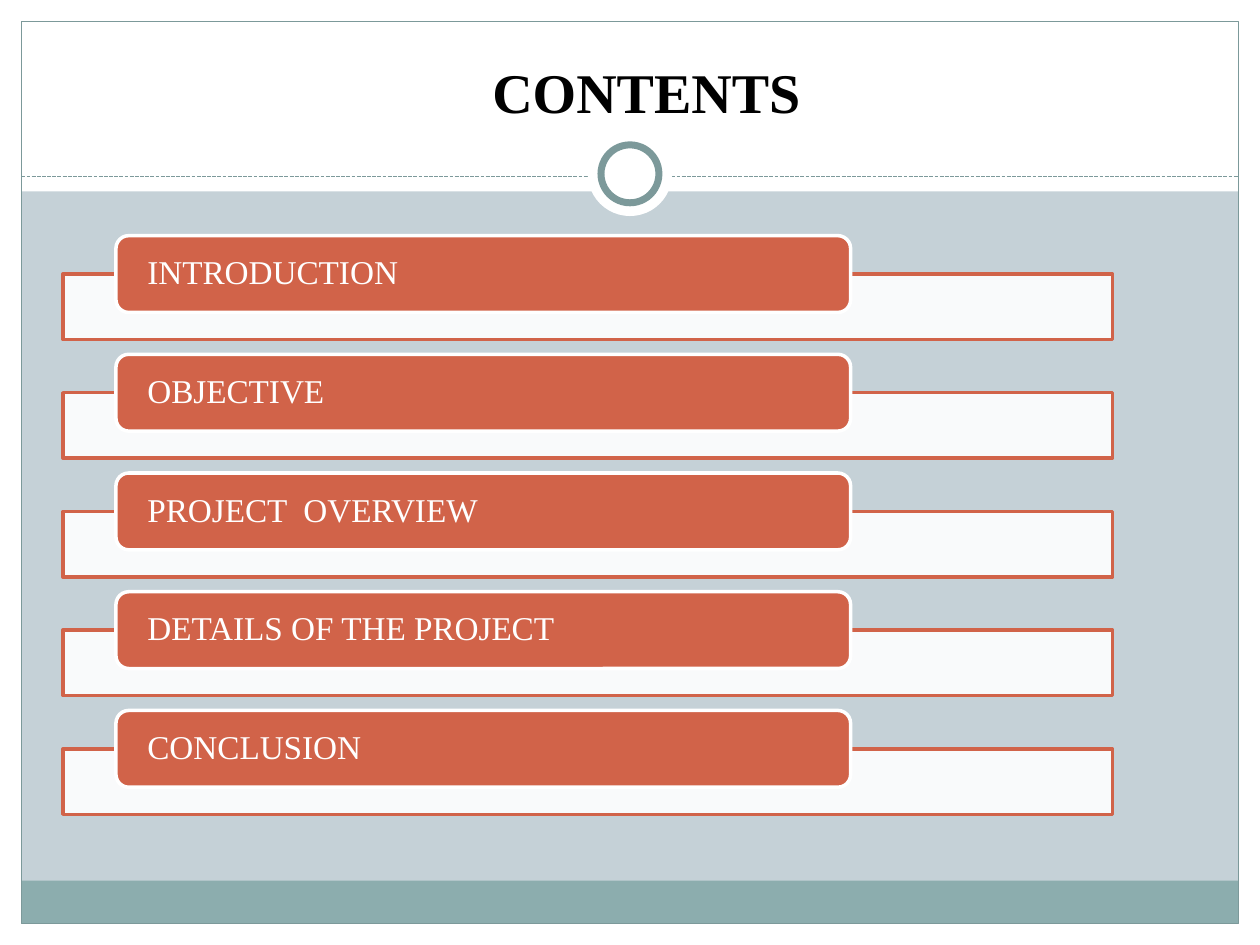
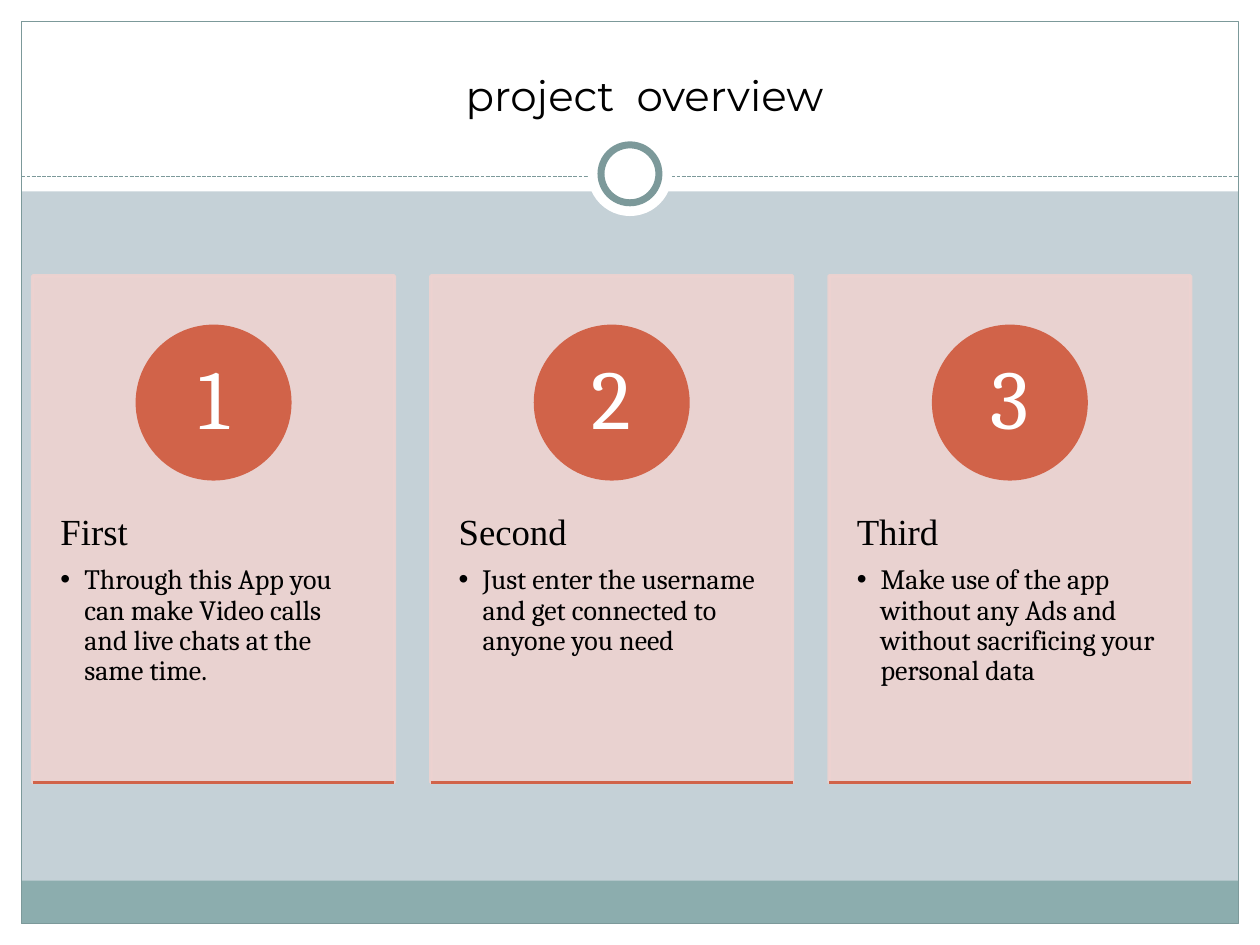
from collections import namedtuple

from lxml import etree
from pptx import Presentation
from pptx.dml.color import RGBColor
from pptx.enum.dml import MSO_LINE
from pptx.enum.shapes import MSO_CONNECTOR, MSO_SHAPE
from pptx.enum.text import MSO_ANCHOR, PP_ALIGN
from pptx.oxml.ns import qn
from pptx.util import Inches, Pt

COLORS = {
    "background": "C5D1D7",
    "white": "FFFFFF",
    "black": "000000",
    "footer": "8CADAE",
    "frame": "7C999A",
    "accent": "D16349",
    "card": "EED3D0",
}
SERIF, BODY, DISPLAY = "Times New Roman", "Cambria", "Montserrat"

# The slide is a grid of 100 columns by 75 rows
COLUMNS, ROWS = 100, 75
CELL = Inches(0.1)
BORDER = 1.7
HEADER_ROWS = 15.2

AGENDA = ["INTRODUCTION", "OBJECTIVE", "PROJECT  OVERVIEW",
          "DETAILS OF THE PROJECT", "CONCLUSION"]
FEATURES = [
    ("First", "Through this App you can make Video calls and "
              "live\u00a0chats at the same time."),
    ("Second", "Just enter the username and get connected to anyone you need"),
    ("Third", "Make\u00a0use of the\u00a0app without any\u00a0Ads and "
              "without sacrificing your personal data"),
]


class Box(namedtuple("Box", "left top width height")):
    """A region of the slide, in grid cells."""

    def inner(self, column, row, width, height):
        return Box(self.left + column, self.top + row, width, height)

    def lengths(self):
        return [round(cells * CELL) for cells in self]


def rgb(name):
    return RGBColor.from_string(COLORS[name])


def set_alpha(properties, percent):
    for color in properties.iter(qn("a:srgbClr")):
        etree.SubElement(color, qn("a:alpha"), val=str(percent * 1000))


def add_panel(slide, box, fill=None, line=None, weight=2,
              kind=MSO_SHAPE.RECTANGLE):
    panel = slide.shapes.add_shape(kind, *box.lengths())
    panel.shadow.inherit = False
    if fill:
        panel.fill.solid()
        panel.fill.fore_color.rgb = rgb(fill)
    else:
        panel.fill.background()
    if line:
        panel.line.color.rgb = rgb(line)
        panel.line.width = Pt(weight)
    else:
        panel.line.fill.background()
    return panel


def add_rule(slide, left, right, row, color, weight):
    ends = [round(cells * CELL) for cells in (left, row, right, row)]
    rule = slide.shapes.add_connector(MSO_CONNECTOR.STRAIGHT, *ends)
    rule.line.color.rgb = rgb(color)
    rule.line.width = Pt(weight)
    etree.SubElement(rule._element.spPr, qn("a:effectLst"))
    return rule


def set_frame(frame, anchor, margins=(1, 0.5, 1, 0.5)):
    frame.word_wrap = True
    frame.vertical_anchor = anchor
    (frame.margin_left, frame.margin_top, frame.margin_right,
     frame.margin_bottom) = [round(cells * CELL) for cells in margins]


def set_text(paragraph, text, size, font, color, align=PP_ALIGN.LEFT,
             spacing=0.9, bold=False):
    paragraph.text = text
    paragraph.alignment = align
    paragraph.line_spacing = spacing
    for run in paragraph.runs:
        run.font.size = Pt(size)
        run.font.name = font
        run.font.bold = bold
        run.font.color.rgb = rgb(color)


def add_bullet(paragraph, indent):
    properties = paragraph._p.get_or_add_pPr()
    properties.set("marL", str(indent))
    properties.set("indent", str(-indent))
    etree.SubElement(properties, qn("a:buFont"), typeface="Arial")
    etree.SubElement(properties, qn("a:buChar"), char="•")


def add_base(presentation):
    """Background, white borders, footer band, frame and header ring."""
    slide = presentation.slides.add_slide(presentation.slide_layouts[6])
    slide.background.fill.solid()
    slide.background.fill.fore_color.rgb = rgb("background")
    page = Box(0, 0, COLUMNS, ROWS)
    right, bottom = COLUMNS - BORDER, ROWS - BORDER
    inside = right - BORDER

    # White borders and header
    for border in (page.inner(0, bottom, COLUMNS, BORDER),
                   page.inner(0, 0, COLUMNS, HEADER_ROWS),
                   page.inner(0, 0, BORDER, ROWS),
                   page.inner(right, 0, BORDER, ROWS)):
        add_panel(slide, border, "white")

    # Footer band and frame
    add_panel(slide, page.inner(BORDER, bottom - 3.4, inside, 3.4), "footer")
    add_panel(slide, page.inner(BORDER, BORDER, inside, bottom - BORDER),
              line="frame", weight=0.75)

    # Dashed rule with the ring at its middle
    rule = add_rule(slide, BORDER, right, 14, "frame", 0.75)
    rule.line.dash_style = MSO_LINE.SQUARE_DOT
    for diameter, line in ((6.7, None), (4.6, "frame")):
        ring = page.inner((COLUMNS - diameter) / 2, 13.8 - diameter / 2,
                          diameter, diameter)
        add_panel(slide, ring, "white", line, 4, MSO_SHAPE.OVAL)
    return slide


def add_title(slide, box, text, size, font, bold=False, shift=0):
    """Centred title, moved right by half of the extra left margin."""
    title = slide.shapes.add_textbox(*box.lengths())
    set_frame(title.text_frame, MSO_ANCHOR.BOTTOM, (1 + shift, 0.5, 1, 0.5))
    set_text(title.text_frame.paragraphs[0], text, size, font, "black",
             PP_ALIGN.CENTER, 1, bold)


def add_agenda(slide, box, topics):
    pitch = box.height / len(topics)
    for index, topic in enumerate(topics):
        row = box.inner(0, index * pitch, box.width, pitch)
        bar = add_panel(slide, row.inner(0, 3.05, row.width, 5.2),
                        "white", "accent")
        set_alpha(bar.fill._xPr.find(qn("a:solidFill")), 90)
        label = add_panel(slide, row.inner(4.2, 0, row.width * 0.7, 6.1),
                          "accent", "white", kind=MSO_SHAPE.ROUNDED_RECTANGLE)
        set_frame(label.text_frame, MSO_ANCHOR.MIDDLE, (2.2, 0, 2.2, 0))
        set_text(label.text_frame.paragraphs[0], topic, 19, SERIF, "white")


def add_card(slide, box, number, heading, description):
    card = add_panel(slide, box, "card", "card")
    set_alpha(card._element.spPr, 90)

    # Heading and bullet
    copy_box = box.inner(0, box.height * 0.38, box.width, box.height * 0.6)
    frame = slide.shapes.add_textbox(*copy_box.lengths()).text_frame
    set_frame(frame, MSO_ANCHOR.TOP, (2.2, 3.6, 2.2, 3.6))
    set_text(frame.paragraphs[0], heading, 21, SERIF, "black")
    frame.paragraphs[0].space_after = Pt(7)
    bullet = frame.add_paragraph()
    set_text(bullet, description, 16, BODY, "black")
    add_bullet(bullet, Inches(0.19))

    # Numbered disc
    diameter = 12.1
    disc = add_panel(slide, box.inner((box.width - diameter) / 2, 4,
                                      diameter, diameter),
                     "accent", "accent", kind=MSO_SHAPE.OVAL)
    set_frame(disc.text_frame, MSO_ANCHOR.MIDDLE, (0.9, 0.1, 0.9, 0.1))
    set_text(disc.text_frame.paragraphs[0], str(number), 48, BODY, "white",
             PP_ALIGN.CENTER)

    # Bottom edge
    add_rule(slide, box.left, box.left + box.width, box.top + box.height,
             "accent", 2)


def add_cards(slide, box, features, gap=2.9):
    width = (box.width - gap * (len(features) - 1)) / len(features)
    for index, (heading, description) in enumerate(features):
        card = box.inner(index * (width + gap), 0, width, box.height)
        add_card(slide, card, index + 1, heading, description)


presentation = Presentation()
presentation.slide_width = COLUMNS * CELL
presentation.slide_height = ROWS * CELL

contents = add_base(presentation)
add_title(contents, Box(19.2, 2.3, 52.5, 8.1), "CONTENTS", 32, SERIF,
          bold=True, shift=11.7)
add_agenda(contents, Box(5, 18.7, 83.3, 47.1), AGENDA)

overview = add_base(presentation)
add_title(overview, Box(32, 3.9, 38.3, 6.1), "project  overview", 24, DISPLAY)
add_cards(overview, Box(2.6, 21.9, 91.9, 40.2), FEATURES)

presentation.save("out.pptx")
